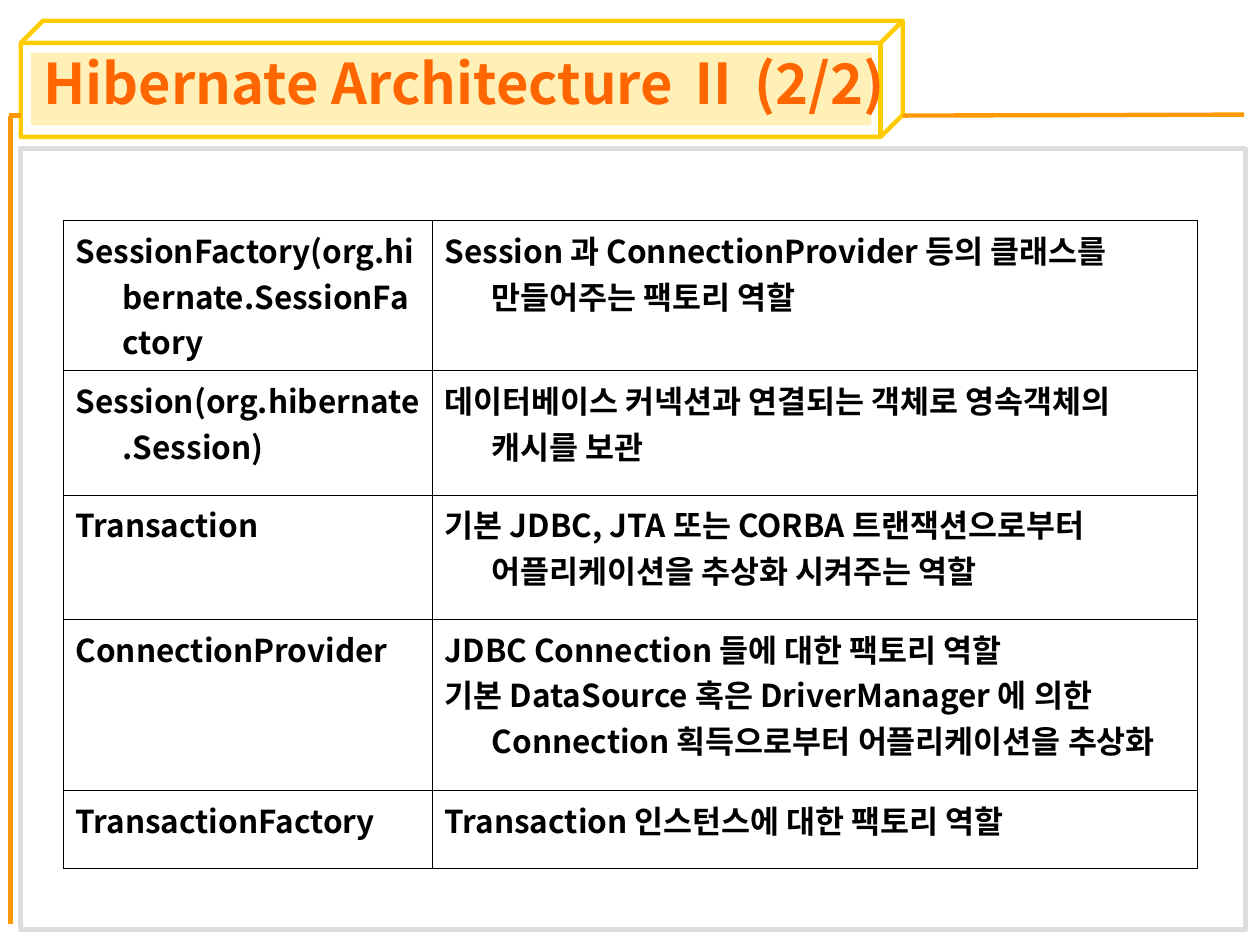
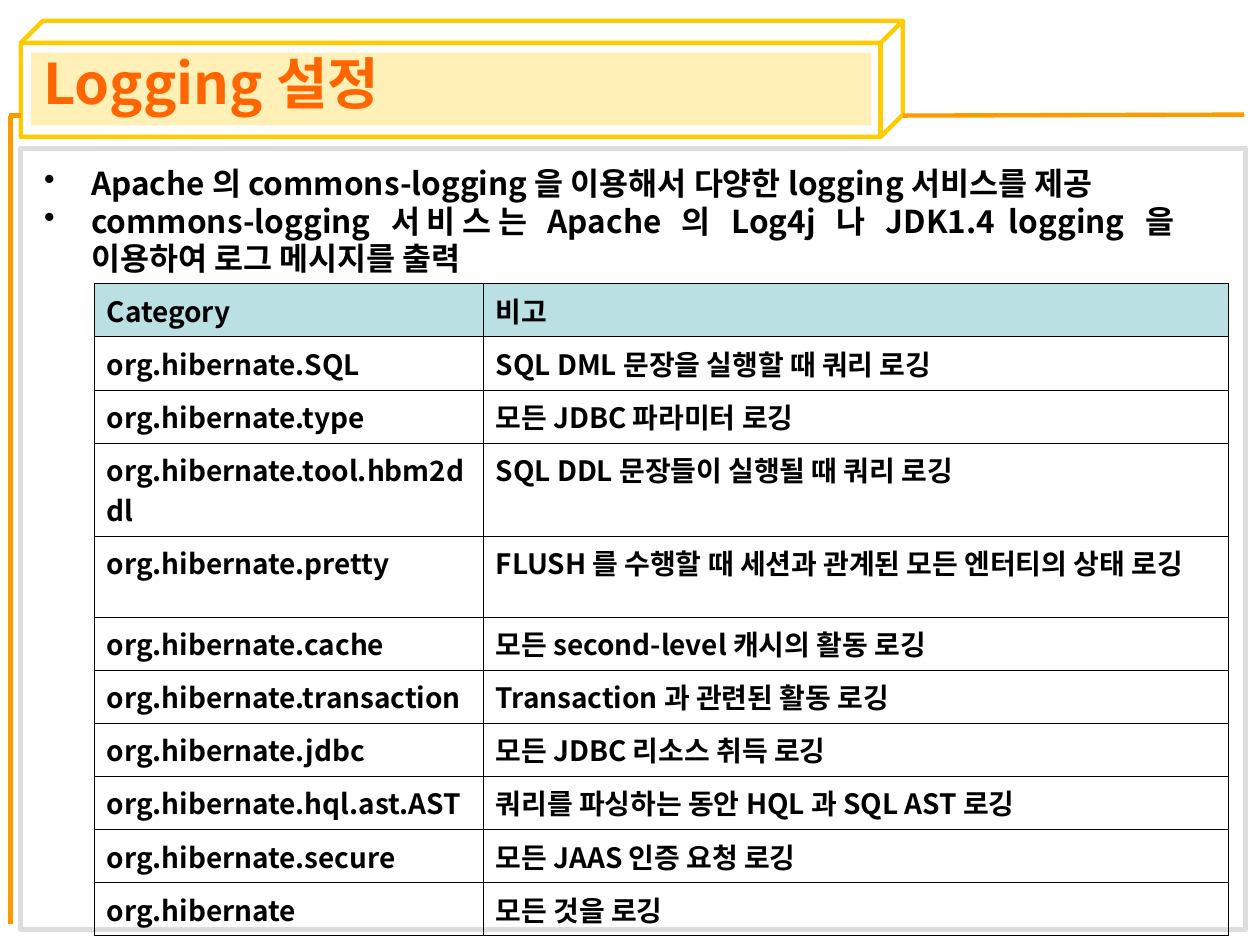
from dataclasses import dataclass

from lxml import etree
from pptx import Presentation
from pptx.dml.color import RGBColor
from pptx.enum.shapes import MSO_CONNECTOR, MSO_SHAPE
from pptx.enum.text import MSO_ANCHOR, MSO_AUTO_SIZE, PP_ALIGN
from pptx.oxml.ns import qn
from pptx.util import Cm, Pt

CUBE, RECTANGLE = MSO_SHAPE.CUBE, MSO_SHAPE.RECTANGLE
STRAIGHT = MSO_CONNECTOR.STRAIGHT
LEFT, JUSTIFY = PP_ALIGN.LEFT, PP_ALIGN.JUSTIFY
TOP = MSO_ANCHOR.TOP
NO_AUTOFIT = MSO_AUTO_SIZE.NONE
TITLE_ONLY = 5


@dataclass(frozen=True)
class Theme:
    """Colours, type sizes and line widths of the deck."""
    font: str = "Noto Sans CJK KR"
    text: str = "000000"
    title: str = "FF6600"
    gold: str = "FFCC00"
    rail: str = "FF9900"
    panel: str = "DDDDDD"
    header: str = "BBE0E3"
    title_size: float = 32
    body_size: float = 18
    small_size: float = 16
    rail_width: float = 2.5
    panel_width: float = 3
    grid_width: float = 0.45
    band_opacity: int = 28
    hanging: float = 0.95


@dataclass(frozen=True)
class Box:
    """A rectangle in centimetres."""
    left: float
    top: float
    width: float
    height: float

    def inner(self, left, top, width, height):
        """Return a box placed relative to this one."""
        return Box(self.left + left, self.top + top, width, height)

    def lengths(self):
        """Return left, top, width and height as slide lengths."""
        return Cm(self.left), Cm(self.top), Cm(self.width), Cm(self.height)


THEME = Theme()
FRAME = Box(0.42, 0.42, 24.69, 18.32)
TITLE = Box(0.62, 0.97, 22.86, 1.57)

ARCHITECTURE = [
    ("SessionFactory(org.hibernate.SessionFactory",
     "Session 과 ConnectionProvider 등의 클래스를 만들어주는 팩토리 역할"),
    ("Session(org.hibernate.Session)",
     "데이터베이스 커넥션과 연결되는 객체로 영속객체의 캐시를 보관"),
    ("Transaction",
     "기본 JDBC, JTA 또는 CORBA 트랜잭션으로부터 어플리케이션을 추상화 시켜주는 역할"),
    ("ConnectionProvider",
     "JDBC Connection 들에 대한 팩토리 역할\n"
     "기본 DataSource 혹은 DriverManager 에 의한 Connection 획득으로부터 "
     "어플리케이션을 추상화"),
    ("TransactionFactory", "Transaction 인스턴스에 대한 팩토리 역할"),
]
LOGGING_POINTS = [
    "Apache 의 commons-logging 을 이용해서 다양한 logging 서비스를 제공",
    "commons-logging 서비스는 Apache 의 Log4j 나 JDK1.4 logging 을 이용하여 "
    "로그 메시지를 출력",
]
CATEGORIES = [
    ("Category", "비고"),
    ("org.hibernate.SQL", "SQL DML 문장을 실행할 때 쿼리 로깅"),
    ("org.hibernate.type", "모든 JDBC 파라미터 로깅"),
    ("org.hibernate.tool.hbm2ddl", "SQL DDL 문장들이 실행될 때 쿼리 로깅"),
    ("org.hibernate.pretty", "FLUSH 를 수행할 때 세션과 관계된 모든 엔터티의 상태 로깅"),
    ("org.hibernate.cache", "모든 second-level 캐시의 활동 로깅"),
    ("org.hibernate.transaction", "Transaction 과 관련된 활동 로깅"),
    ("org.hibernate.jdbc", "모든 JDBC 리소스 취득 로깅"),
    ("org.hibernate.hql.ast.AST", "쿼리를 파싱하는 동안 HQL 과 SQL AST 로깅"),
    ("org.hibernate.secure", "모든 JAAS 인증 요청 로깅"),
    ("org.hibernate", "모든 것을 로깅"),
]


def rgb(colour):
    """Turn a hex string into a colour."""
    return RGBColor.from_string(colour)


def style_paragraph(para, size, colour=THEME.text, align=LEFT, hanging=0, bullet=None):
    """Set indent, bullet and font of one paragraph, kerning only bulleted text."""
    para.alignment = align
    props = para._p.get_or_add_pPr()
    props.set("marL", str(Cm(hanging)))
    props.set("indent", str(-Cm(hanging)))
    if bullet:
        etree.SubElement(props, qn("a:buChar"), char=bullet)
    font = para.font
    font.size, font.bold, font.name = Pt(size), True, THEME.font
    font.color.rgb = rgb(colour)
    defaults = props.find(qn("a:defRPr"))
    if not bullet:
        defaults.set("kern", "0")
    latin = defaults.find(qn("a:latin"))
    latin.addnext(latin.makeelement(qn("a:ea"), {"typeface": THEME.font}))


def add_outline(page, kind, box, colour=None, width=0):
    """Add an unfilled shape with the given outline."""
    shape = page.shapes.add_shape(kind, *box.lengths())
    shape.shadow.inherit = False
    shape.fill.background()
    if colour:
        shape.line.color.rgb = rgb(colour)
        shape.line.width = Pt(width)
    else:
        shape.line.fill.background()
    return shape


def add_rail(page, box):
    """Add an orange line from the top left of a box to its bottom right."""
    left, top, width, height = box.lengths()
    rail = page.shapes.add_connector(STRAIGHT, left, top, left + width, top + height)
    rail.line.color.rgb = rgb(THEME.rail)
    rail.line.width = Pt(THEME.rail_width)
    etree.SubElement(rail.element.spPr, qn("a:effectLst"))


def add_frame(page, box):
    """Draw the title cube, its band, the rails and the content panel."""
    cube = add_outline(page, CUBE, box.inner(0, 0, 17.78, 2.34),
                       THEME.gold, THEME.rail_width)
    cube.adjustments[0] = 0.191
    band = add_outline(page, RECTANGLE, box.inner(0.21, 0.64, 16.94, 1.47))
    band.fill.solid()
    band.fill.fore_color.rgb = rgb(THEME.gold)
    tint = band.element.spPr.find(qn("a:solidFill"))[0]
    etree.SubElement(tint, qn("a:alpha"), val=str(THEME.band_opacity * 1000))
    for rail in [(-0.21, 1.91, 0, 16.29), (17.78, 1.91, 6.88, -0.02),
                 (-0.24, 1.91, 0.24, 0)]:
        add_rail(page, box.inner(*rail))
    add_outline(page, RECTANGLE, box.inner(0, 2.57, box.width, box.height - 2.57),
                THEME.panel, THEME.panel_width)


def place_title(page, box, text):
    """Move the title placeholder to its box, in front of the frame."""
    title = page.shapes.title
    title.left, title.top, title.width, title.height = box.lengths()
    title.element.getparent().append(title.element)
    frame = title.text_frame
    frame.text = text
    frame.word_wrap, frame.auto_size = True, NO_AUTOFIT
    frame.vertical_anchor = TOP
    frame.margin_top = frame.margin_bottom = 0
    style_paragraph(frame.paragraphs[0], THEME.title_size, THEME.title)


def add_bullets(page, box, points):
    """Add a justified bullet list."""
    frame = page.shapes.add_textbox(*box.lengths()).text_frame
    frame.word_wrap = True
    frame.text = "\n".join(points)
    for para in frame.paragraphs:
        style_paragraph(para, THEME.body_size, align=JUSTIFY,
                        hanging=THEME.hanging, bullet="•")


def add_borders(cell):
    """Give a cell thin black borders on all sides."""
    props = cell._tc.get_or_add_tcPr()
    for place, side in enumerate(("lnL", "lnR", "lnT", "lnB")):
        line = props.makeelement(qn(f"a:{side}"), {"w": str(Pt(THEME.grid_width))})
        fill = etree.SubElement(line, qn("a:solidFill"))
        etree.SubElement(fill, qn("a:srgbClr"), val=THEME.text)
        props.insert(place, line)


def add_grid(page, box, rows, heights, first_width, size, hanging=0, header=False):
    """Add a two-column bordered table, with an optional tinted header row."""
    table = page.shapes.add_table(len(rows), 2, *box.lengths()).table
    table.first_row = header
    table.horz_banding = False
    for column, width in zip(table.columns, (first_width, box.width - first_width)):
        column.width = Cm(width)
    for number, (row, height) in enumerate(zip(table.rows, heights)):
        row.height = Cm(height)
        for cell, text in zip(row.cells, rows[number]):
            cell.text = text
            cell.vertical_anchor = TOP
            if header and number == 0:
                cell.fill.solid()
                cell.fill.fore_color.rgb = rgb(THEME.header)
            else:
                cell.fill.background()
            add_borders(cell)
            for para in cell.text_frame.paragraphs:
                style_paragraph(para, size, hanging=hanging)


def add_page(deck, title):
    """Add a title-only page with the shared frame."""
    page = deck.slides.add_slide(deck.slide_layouts[TITLE_ONLY])
    add_frame(page, FRAME)
    place_title(page, TITLE, title)
    return page


def build_architecture(deck):
    """Build the page on the architecture classes."""
    page = add_page(deck, "Hibernate Architecture Ⅱ (2/2)")
    heights = [3.02, 2.51, 2.51, 3.45, 1.57]
    add_grid(page, Box(1.27, 4.45, 22.86, sum(heights)), ARCHITECTURE, heights,
             7.44, THEME.body_size, hanging=THEME.hanging)


def build_logging(deck):
    """Build the page on logging categories."""
    page = add_page(deck, "Logging 설정")
    add_bullets(page, Box(0.64, 3.18, 23.28, 2.54), LOGGING_POINTS)
    tall_rows = {3: 1.88, 4: 1.63}
    heights = [tall_rows.get(number, 1.07) for number in range(len(CATEGORIES))]
    add_grid(page, Box(1.9, 5.72, 22.86, sum(heights)), CATEGORIES, heights,
             7.84, THEME.small_size, header=True)


def main():
    """Build and save the deck."""
    deck = Presentation()
    deck.slide_width, deck.slide_height = Cm(25.4), Cm(19.05)
    build_architecture(deck)
    build_logging(deck)
    deck.save("out.pptx")


if __name__ == "__main__":
    main()
